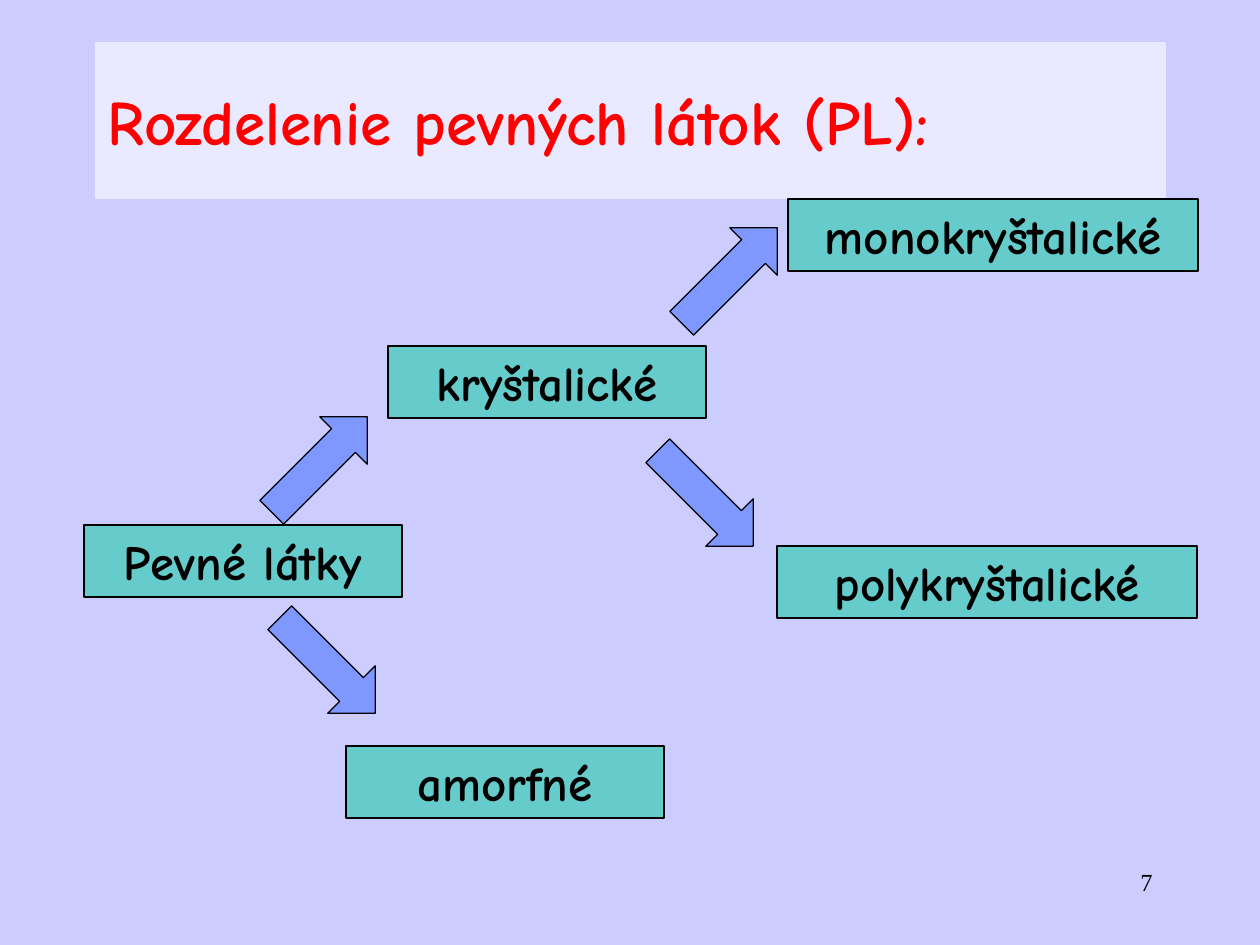
from dataclasses import dataclass

from lxml import etree
from pptx import Presentation
from pptx import util as u
from pptx.dml.color import RGBColor
from pptx.enum import shapes, text
from pptx.oxml.ns import qn

TITLE = ("Rozdelenie pevných látok (PL):", (95, 42, 1071, 157))
PAGE_NUMBER = ("7", (903, 861, 262, 63))

BOX_HEIGHT = 72
BOXES = [  # label, left, top, width
    ("Pevné látky", 84, 525, 318),
    ("kryštalické", 388, 346, 318),
    ("amorfné", 346, 746, 318),
    ("polykryštalické", 777, 546, 420),
    ("monokryštalické", 788, 199, 410),
]

ARROW_SIZE = (135, 67)
UP, DOWN = 315, 45
ARROWS = [  # left, top, rotation
    (252, 431, UP),
    (662, 242, UP),
    (260, 632, DOWN),
    (638, 465, DOWN),
]


@dataclass(frozen=True)
class Theme:
    page: str = "CCCCFF"
    panel: str = "FFFFFF"
    box: str = "00CC99"
    arrow: str = "3366FF"
    ink: str = "000000"
    title: str = "FF0000"
    font: str = "Comic Neue"
    number_font: str = "Times New Roman"
    title_size: int = 36
    box_size: int = 28
    number_size: int = 14
    line_width: float = 0.75


THEME = Theme()
EMU_PER_PX = 914400 / 126


def px(*lengths):
    return [u.Emu(round(length * EMU_PER_PX)) for length in lengths]


def fill_clear(shape, color, opacity):
    """Solid fill with the given opacity in percent."""
    shape.fill.solid()
    shape.fill.fore_color.rgb = RGBColor.from_string(color)
    color_node = shape.fill._xPr.find(qn("a:solidFill"))[0]
    etree.SubElement(color_node, qn("a:alpha"), val=str(opacity * 1000))


def write(shape, words, size, color, align, font=THEME.font, bold=True):
    para = shape.text_frame.paragraphs[0]
    para.alignment = align
    span = para.add_run()
    span.text = words
    span.font.name = font
    span.font.size = u.Pt(size)
    span.font.bold = bold
    span.font.color.rgb = RGBColor.from_string(color)


def add_outlined(page, kind, place, color):
    shape = page.shapes.add_shape(kind, *px(*place))
    shape.shadow.inherit = False
    fill_clear(shape, color, 50)
    shape.line.color.rgb = RGBColor.from_string(THEME.ink)
    shape.line.width = u.Pt(THEME.line_width)
    return shape


def add_title(page):
    words, place = TITLE
    title = page.shapes.title
    title.left, title.top, title.width, title.height = px(*place)
    fill_clear(title, THEME.panel, 57)
    title.text_frame.vertical_anchor = text.MSO_ANCHOR.MIDDLE
    write(title, words, THEME.title_size, THEME.title, text.PP_ALIGN.LEFT)


def add_page_number(page):
    words, place = PAGE_NUMBER
    box = page.shapes.add_textbox(*px(*place))
    box.text_frame.word_wrap = True
    write(box, words, THEME.number_size, THEME.ink, text.PP_ALIGN.RIGHT,
          THEME.number_font, False)


def add_box(page, label, left, top, width):
    box = add_outlined(page, shapes.MSO_SHAPE.RECTANGLE,
                       (left, top, width, BOX_HEIGHT), THEME.box)
    frame = box.text_frame
    frame.word_wrap = True
    frame.auto_size = text.MSO_AUTO_SIZE.SHAPE_TO_FIT_TEXT
    frame.vertical_anchor = text.MSO_ANCHOR.TOP
    write(box, label, THEME.box_size, THEME.ink, text.PP_ALIGN.CENTER)


def add_arrow(page, left, top, rotation):
    arrow = add_outlined(page, shapes.MSO_SHAPE.RIGHT_ARROW,
                         (left, top, *ARROW_SIZE), THEME.arrow)
    arrow.rotation = rotation


def main():
    deck = Presentation()
    deck.slide_width, deck.slide_height = px(1260, 945)
    page = deck.slides.add_slide(deck.slide_layouts.get_by_name("Title Only"))
    page.background.fill.solid()
    page.background.fill.fore_color.rgb = RGBColor.from_string(THEME.page)

    add_page_number(page)
    add_title(page)
    for box in BOXES:
        add_box(page, *box)
    for arrow in ARROWS:
        add_arrow(page, *arrow)
    deck.save("out.pptx")


if __name__ == "__main__":
    main()
